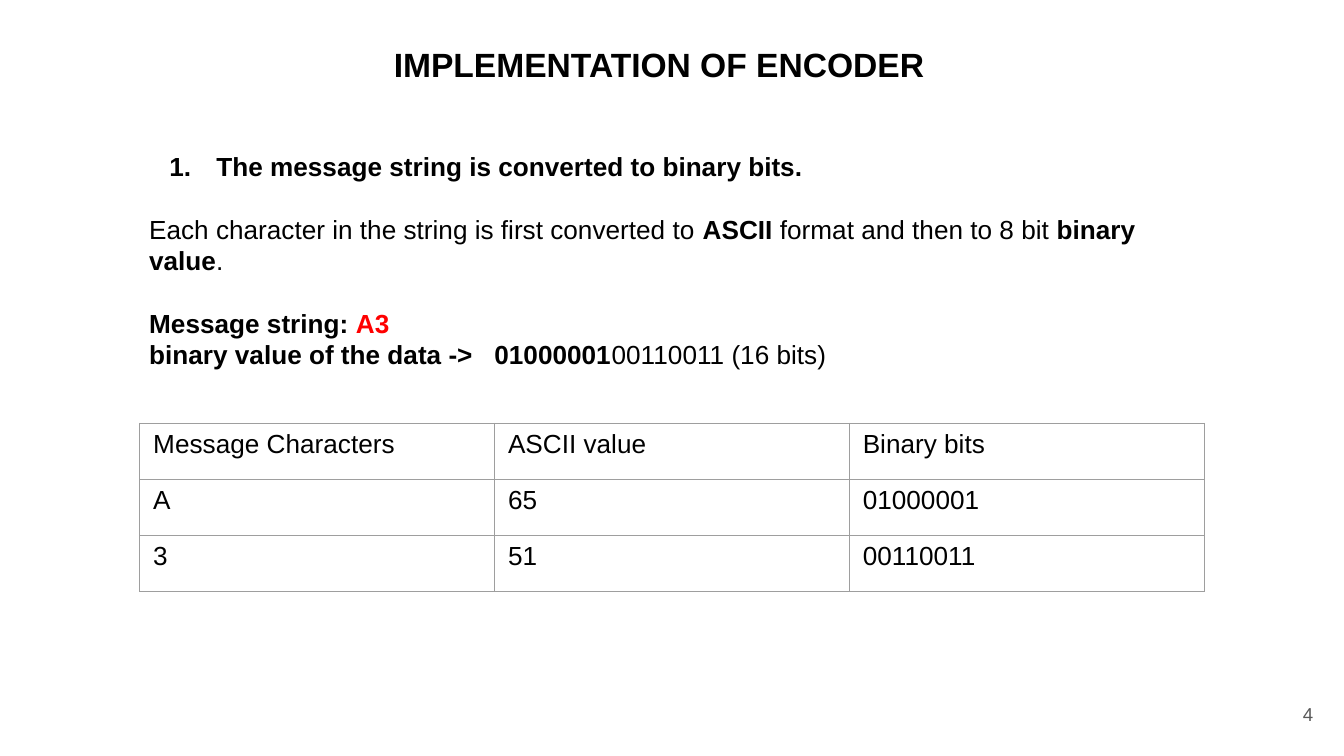
from lxml import etree
from pptx import Presentation
from pptx.dml.color import RGBColor
from pptx.enum import text
from pptx.oxml import ns
from pptx.util import Inches, Pt

BLACK = RGBColor(0x00, 0x00, 0x00)
RED = RGBColor(0xFF, 0x00, 0x00)
GRAY = RGBColor(0x59, 0x59, 0x59)
BORDER = RGBColor(0x9E, 0x9E, 0x9E)


def add_run(paragraph, wording, size, bold=False, color=BLACK):
    run = paragraph.add_run()
    run.text = wording
    run.font.name = "Arial"
    run.font.size = Pt(size)
    run.font.bold = bold
    run.font.color.rgb = color


def set_frame(shape, left, top, width, height, anchor=text.MSO_ANCHOR.TOP):
    shape.left, shape.top = Inches(left), Inches(top)
    shape.width, shape.height = Inches(width), Inches(height)
    frame = shape.text_frame
    frame.word_wrap = True
    frame.auto_size = text.MSO_AUTO_SIZE.NONE
    frame.vertical_anchor = anchor
    frame.margin_left = frame.margin_right = Inches(0.1)
    frame.margin_top = frame.margin_bottom = Inches(0.1)
    return frame


# Widescreen slide, 16 by 9
presentation = Presentation()
presentation.slide_width = Inches(10)
presentation.slide_height = Inches(10 * 9 / 16)
slide = presentation.slides.add_slide(presentation.slide_layouts[1])

# Title
title = set_frame(slide.shapes.title, 2.83, 0.23, 4.18, 0.5)
title.paragraphs[0].alignment = text.PP_ALIGN.LEFT
add_run(title.paragraphs[0], "IMPLEMENTATION OF ENCODER", 18, bold=True)

# Body: space before in points, then runs of wording, bold and colour
body_paragraphs = [
    (0, [("The message string is converted to binary bits.", True, BLACK)]),
    (16.8, [("Each character in the string is first converted to ", False, BLACK),
            ("ASCII ", True, BLACK),
            ("format and then to 8 bit ", False, BLACK),
            ("binary value", True, BLACK),
            (".", False, BLACK)]),
    (16.8, [("Message string: ", True, BLACK), ("A3", True, RED)]),
    (0, [("binary value of the data ->   01000001", True, BLACK),
         ("00110011 (16 bits)", False, BLACK)]),
]
body = set_frame(slide.placeholders[1], 1.01, 1.02, 7.98, 1.77)
for index, (space_before, runs) in enumerate(body_paragraphs):
    paragraph = body.paragraphs[0] if index == 0 else body.add_paragraph()
    paragraph.space_before = Pt(space_before)
    properties = paragraph._p.get_or_add_pPr()
    numbered = index == 0
    properties.set("marL", str(Inches(0.5 if numbered else 0)))
    properties.set("indent", str(Inches(-0.35 if numbered else 0)))
    if numbered:
        font = etree.SubElement(properties, ns.qn("a:buFont"))
        font.set("typeface", "Arial")
        bullet = etree.SubElement(properties, ns.qn("a:buAutoNum"))
        bullet.set("type", "arabicPeriod")
    else:
        etree.SubElement(properties, ns.qn("a:buNone"))
    for wording, bold, color in runs:
        add_run(paragraph, wording, 14, bold, color)

# Slide number
number_box = slide.shapes.add_textbox(0, 0, 0, 0)
number = set_frame(number_box, 9.27, 5.1, 0.6, 0.43, text.MSO_ANCHOR.MIDDLE)
number.paragraphs[0].alignment = text.PP_ALIGN.RIGHT
add_run(number.paragraphs[0], "4", 10, color=GRAY)

# Table of characters and their codes
rows = [
    ("Message Characters", "ASCII value", "Binary bits"),
    ("A", "65", "01000001"),
    ("3", "51", "00110011"),
]
table = slide.shapes.add_table(3, 3, Inches(1.04), Inches(3.15),
                               Inches(7.92), Inches(1.25)).table
table.first_row = False
table.horz_banding = False
for row_index, values in enumerate(rows):
    for column_index, value in enumerate(values):
        cell = table.cell(row_index, column_index)
        cell.margin_left = cell.margin_right = Inches(0.1)
        cell.margin_top = cell.margin_bottom = Inches(0.05)
        add_run(cell.text_frame.paragraphs[0], value, 14)
        # Borders come before the fill in the cell properties
        properties = cell._tc.get_or_add_tcPr()
        for side in ("a:lnL", "a:lnR", "a:lnT", "a:lnB"):
            line = etree.SubElement(properties, ns.qn(side), w=str(Pt(0.75)))
            fill = etree.SubElement(line, ns.qn("a:solidFill"))
            etree.SubElement(fill, ns.qn("a:srgbClr"), val=str(BORDER))
        cell.fill.background()

presentation.save("out.pptx")
